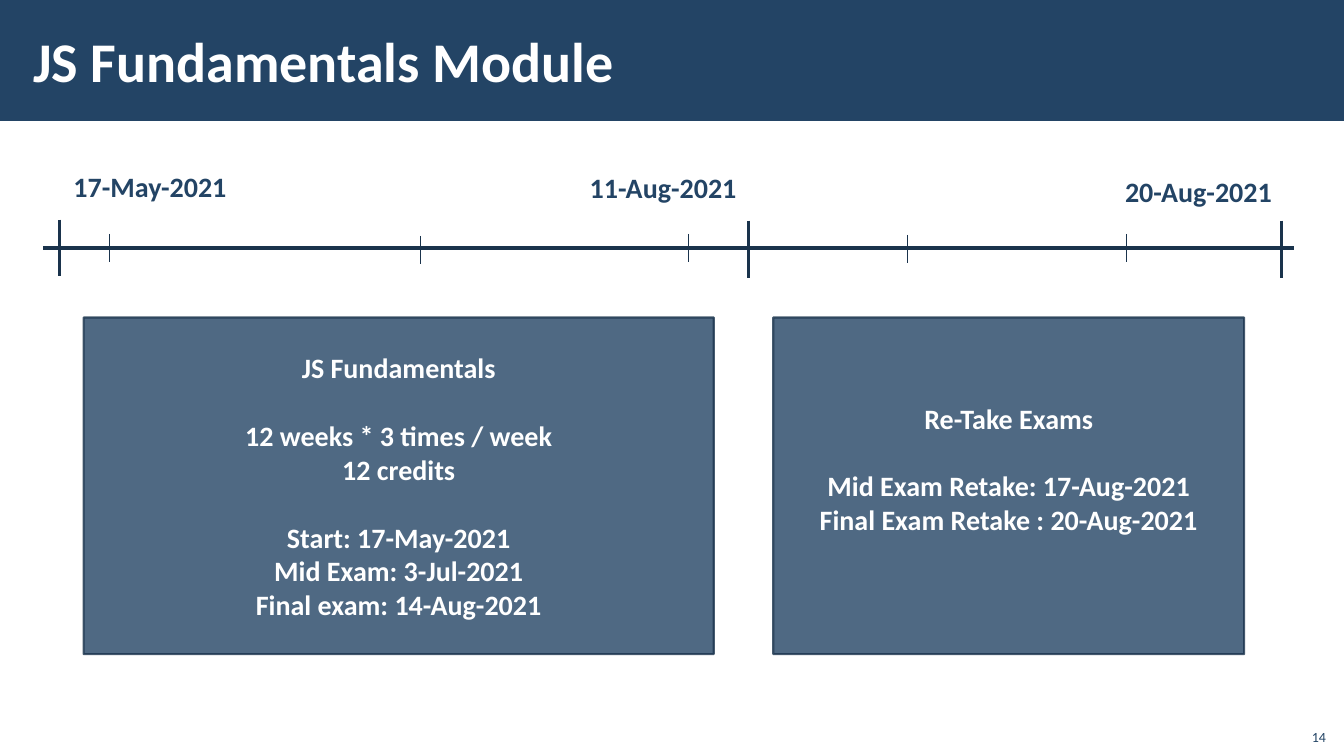
from lxml import etree
from pptx import Presentation
from pptx.dml.color import RGBColor
from pptx.enum.shapes import MSO_CONNECTOR, MSO_SHAPE
from pptx.enum.text import MSO_ANCHOR, PP_ALIGN
from pptx.oxml.ns import qn
from pptx.util import Inches, Pt

NAVY = RGBColor(0x23, 0x44, 0x65)
DARK = RGBColor(0x1A, 0x33, 0x4C)
WHITE = RGBColor(0xFF, 0xFF, 0xFF)
FONT = "Calibri"
RECT = MSO_SHAPE.RECTANGLE
STRAIGHT = MSO_CONNECTOR.STRAIGHT
LEFT, CENTER, RIGHT = PP_ALIGN.LEFT, PP_ALIGN.CENTER, PP_ALIGN.RIGHT
TOP, MIDDLE, BOTTOM = MSO_ANCHOR.TOP, MSO_ANCHOR.MIDDLE, MSO_ANCHOR.BOTTOM
GAP = Pt(24.4)  # height of one 20 pt line

deck = Presentation()
deck.slide_width, deck.slide_height = Inches(13.33), Inches(7.5)
slide = deck.slides.add_slide(deck.slide_layouts[6])
shapes = slide.shapes


def write(shape, groups, size, color, align, anchor, bold=True):
    """Fill a shape with groups of lines, one line height apart."""
    frame = shape.text_frame
    frame.vertical_anchor = anchor
    lines = [(text, n > 0 and i == 0)
             for n, group in enumerate(groups) for i, text in enumerate(group)]
    for i, (text, apart) in enumerate(lines):
        para = frame.add_paragraph() if i else frame.paragraphs[0]
        para.text = text
        para.alignment = align
        if apart:
            para.space_before = GAP
        font = para.font
        font.name, font.size, font.bold = FONT, Pt(size), bold
        font.color.rgb = color


def draw(x1, y1, x2, y2, width):
    line = shapes.add_connector(
        STRAIGHT, Inches(x1), Inches(y1), Inches(x2), Inches(y2))
    line.line.color.rgb = DARK
    line.line.width = Pt(width)
    etree.SubElement(line._element.spPr, qn("a:effectLst"))


# Header
band = shapes.add_shape(RECT, 0, 0, deck.slide_width, Inches(1.2))
band.shadow.inherit = False
band.fill.solid()
band.fill.fore_color.rgb = NAVY
band.line.fill.background()

title = shapes.add_textbox(Inches(0.21), Inches(0.11), Inches(10.63), Inches(0.97))
title.text_frame.word_wrap = True
title.text_frame.margin_left = title.text_frame.margin_right = Inches(0.12)
write(title, [["JS Fundamentals Module"]], 40, WHITE, LEFT, MIDDLE)

# Timeline
draw(0.43, 2.46, 12.83, 2.46, 2.25)
for x, top, bottom in [(0.59, 2.18, 2.74), (7.42, 2.19, 2.76), (12.71, 2.19, 2.76)]:
    draw(x, top, x, bottom, 2.25)
for x, top in [(1.08, 2.32), (4.17, 2.34), (6.83, 2.32), (9, 2.33), (11.17, 2.32)]:
    draw(x, top, x, top + 0.28, 0.5)

for x, y, width, date in [
    (0.63, 1.63, 1.74, "17-May-2021"),
    (5.75, 1.64, 1.68, "11-Aug-2021"),
    (11.06, 1.68, 1.68, "20-Aug-2021"),
]:
    label = shapes.add_textbox(Inches(x), Inches(y), Inches(width), Inches(0.44))
    label.text_frame.word_wrap = False
    write(label, [[date]], 20, NAVY, LEFT, TOP)

# Period boxes: left, width, bottom margin, text
periods = [
    (0.83, 6.25, 0.05, [
        ["JS Fundamentals"],
        ["12 weeks * 3 times / week", "12 credits"],
        ["Start: 17-May-2021", "Mid Exam: 3-Jul-2021", "Final exam: 14-Aug-2021"],
    ]),
    (7.67, 4.67, 0.39, [
        ["Re-Take Exams"],
        ["Mid Exam Retake: 17-Aug-2021", "Final Exam Retake : 20-Aug-2021"],
    ]),
]
for x, width, margin, groups in periods:
    box = shapes.add_shape(RECT, Inches(x), Inches(3.15), Inches(width), Inches(3.34))
    box.shadow.inherit = False
    box.fill.solid()
    box.fill.fore_color.rgb = NAVY
    box.line.color.rgb = DARK
    box.line.width = Pt(1.5)
    for color in box._element.spPr.iter(qn("a:srgbClr")):
        etree.SubElement(color, qn("a:alpha"), val="80000")
    box.text_frame.margin_bottom = Inches(margin)
    write(box, groups, 20, WHITE, CENTER, MIDDLE)

# Slide number
number = shapes.add_textbox(Inches(12.85), Inches(7.12), Inches(0.4), Inches(0.32))
number.text_frame.word_wrap = True
write(number, [["14"]], 10, NAVY, RIGHT, BOTTOM, bold=False)

deck.save("out.pptx")
